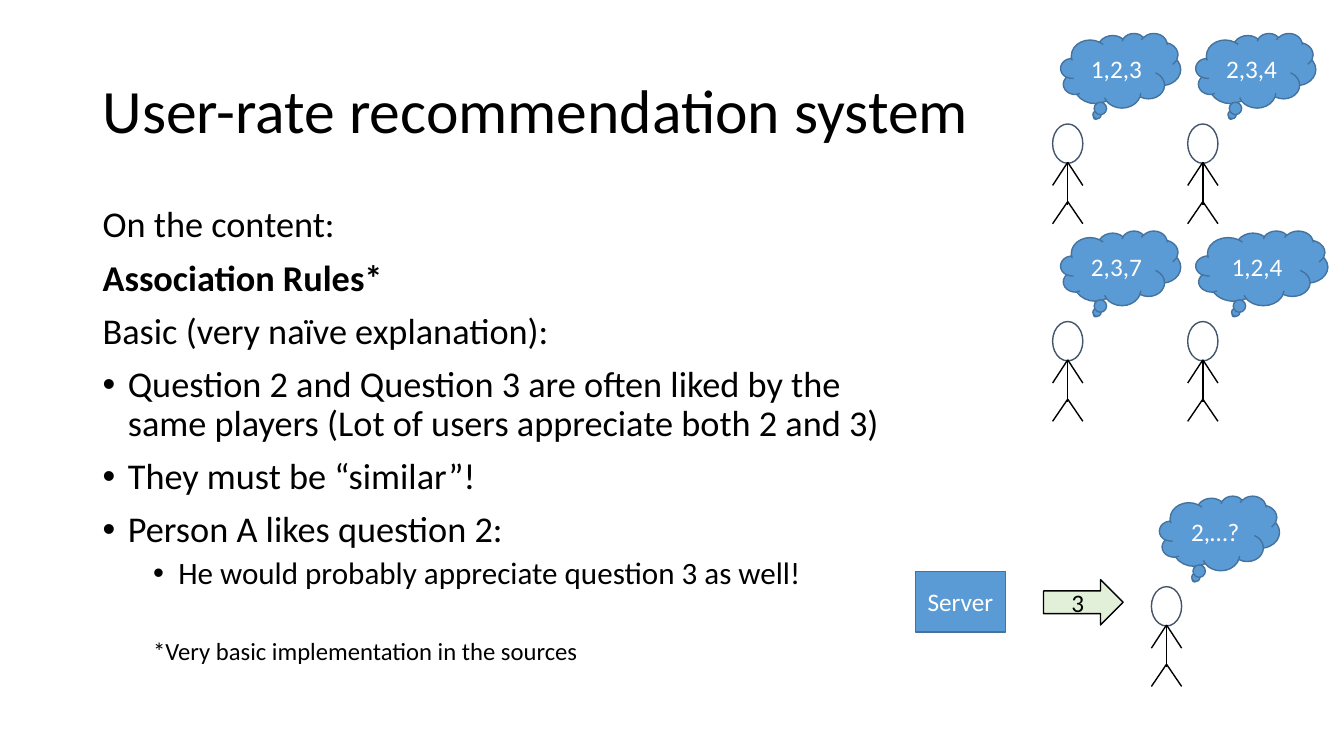
from lxml import etree
from pptx import Presentation
from pptx.dml.color import RGBColor
from pptx.enum.shapes import MSO_CONNECTOR, MSO_SHAPE
from pptx.enum.text import MSO_ANCHOR, PP_ALIGN
from pptx.oxml.ns import qn
from pptx.util import Pt

SCALE = 9144  # EMU in one px, 100 px to the inch
STRAIGHT = MSO_CONNECTOR.STRAIGHT
ELLIPSE, CLOUD = MSO_SHAPE.OVAL, MSO_SHAPE.CLOUD_CALLOUT
RECTANGLE, ARROW = MSO_SHAPE.RECTANGLE, MSO_SHAPE.RIGHT_ARROW
MIDDLE, TOP, CENTER = MSO_ANCHOR.MIDDLE, MSO_ANCHOR.TOP, PP_ALIGN.CENTER

BLACK, WHITE, SLATE = "000000", "FFFFFF", "44546A"
BLUE, DARK_BLUE, PALE_GREEN = "5B9BD5", "43739E", "E2F0D9"

# text, size, bold, left margin, hanging bullet, space before
BODY = [
    ("On the content:", 25.9, False, 0, False, 10),
    ("Association Rules*", 25.9, True, 0, False, 10),
    ("Basic (very naïve explanation):", 25.9, False, 0, False, 10),
    ("Question 2 and Question 3 are often liked by the same players "
     "(Lot of users appreciate both 2 and 3)", 25.9, False, 25, True, 10),
    ("They must be “similar”!", 25.9, False, 25, True, 10),
    ("Person A likes question 2:", 25.9, False, 25, True, 10),
    ("He would probably appreciate question 3 as well!", 22.2, False, 75, True, 5),
    ("*Very basic implementation in the sources", 17.6, False, 50, False, 34),
]

# head left, head top, thought, cloud width
PEOPLE = [
    (1178, 123, "2,3,4", 119),
    (1044, 123, "1,2,3", 119),
    (1178, 319, "1,2,4", 131),
    (1044, 319, "2,3,7", 119),
    (1142, 582, "2,…?", 119),
]


def px(*lengths):
    return [round(length * SCALE) for length in lengths]


def color(value):
    return RGBColor.from_string(value)


class SlideBuilder:
    font_name = "Calibri"

    def __init__(self, slide):
        self.slide = slide

    def style_font(self, paragraph, size, value, bold=False):
        font = paragraph.font
        font.name, font.size, font.bold = self.font_name, Pt(size), bold
        font.color.rgb = color(value)

    def text_box(self, left, top, width, height, rows, anchor):
        box = self.slide.shapes.add_textbox(*px(left, top, width, height))
        frame = box.text_frame
        frame.word_wrap, frame.vertical_anchor = True, anchor
        for index, (text, size, bold, margin, bullet, before) in enumerate(rows):
            paragraph = frame.add_paragraph() if index else frame.paragraphs[0]
            paragraph.text = text
            paragraph.line_spacing, paragraph.space_before = 0.9, Pt(before)
            self.style_font(paragraph, size, BLACK, bold)
            self.indent(paragraph, margin, bullet)

    def indent(self, paragraph, margin, bullet):
        properties = paragraph._p.get_or_add_pPr()
        hanging = -25 if bullet else 0
        properties.set("marL", str(margin * SCALE))
        properties.set("indent", str(hanging * SCALE))
        if bullet:
            typeface = etree.Element(qn("a:buFont"), typeface="Arial")
            character = etree.Element(qn("a:buChar"), char="•")
            default_run = properties.find(qn("a:defRPr"))
            default_run.addprevious(typeface)
            default_run.addprevious(character)

    def shape(self, kind, left, top, width, height, fill, line, text="", text_color=WHITE):
        shape = self.slide.shapes.add_shape(kind, *px(left, top, width, height))
        shape.shadow.inherit = False
        shape.fill.solid()
        shape.fill.fore_color.rgb = color(fill)
        shape.line.color.rgb = color(line)
        shape.line.width = Pt(1)
        if text:
            frame = shape.text_frame
            frame.vertical_anchor = MIDDLE
            paragraph = frame.paragraphs[0]
            paragraph.text, paragraph.alignment = text, CENTER
            self.style_font(paragraph, 18, text_color)

    def line(self, *ends):
        connector = self.slide.shapes.add_connector(STRAIGHT, *px(*ends))
        connector.line.color.rgb = color(BLACK)
        connector.line.width = Pt(1)
        etree.SubElement(connector._element.spPr, qn("a:effectLst"))

    def person(self, left, top, thought, cloud_width):
        middle, shoulder, hip = left + 15, top + 38, top + 77
        self.shape(ELLIPSE, left, top, 30, 39, WHITE, SLATE)
        self.line(middle, shoulder, middle, top + 80)
        # Legs, then arms
        for start, end in ((hip, top + 99), (shoulder, top + 61)):
            for side in (left, left + 30):
                self.line(middle, start, side, end)
        self.shape(CLOUD, left + 8, top - 90, cloud_width, 74, BLUE, DARK_BLUE, thought)


def main():
    presentation = Presentation()
    presentation.slide_width, presentation.slide_height = px(1333, 750)
    builder = SlideBuilder(presentation.slides.add_slide(presentation.slide_layouts[6]))

    # Title and body text
    title = [("User-rate recommendation system", 44, False, 0, False, 0)]
    builder.text_box(92, 40, 1150, 145, title, MIDDLE)
    builder.text_box(92, 200, 816, 476, BODY, TOP)

    # Users with their liked questions
    for person in PEOPLE:
        builder.person(*person)

    # Server sending a recommendation
    builder.shape(RECTANGLE, 908, 567, 89, 60, BLUE, DARK_BLUE, "Server")
    builder.shape(ARROW, 1035, 575, 79, 45, PALE_GREEN, BLACK, "3", BLACK)

    presentation.save("out.pptx")


if __name__ == "__main__":
    main()
